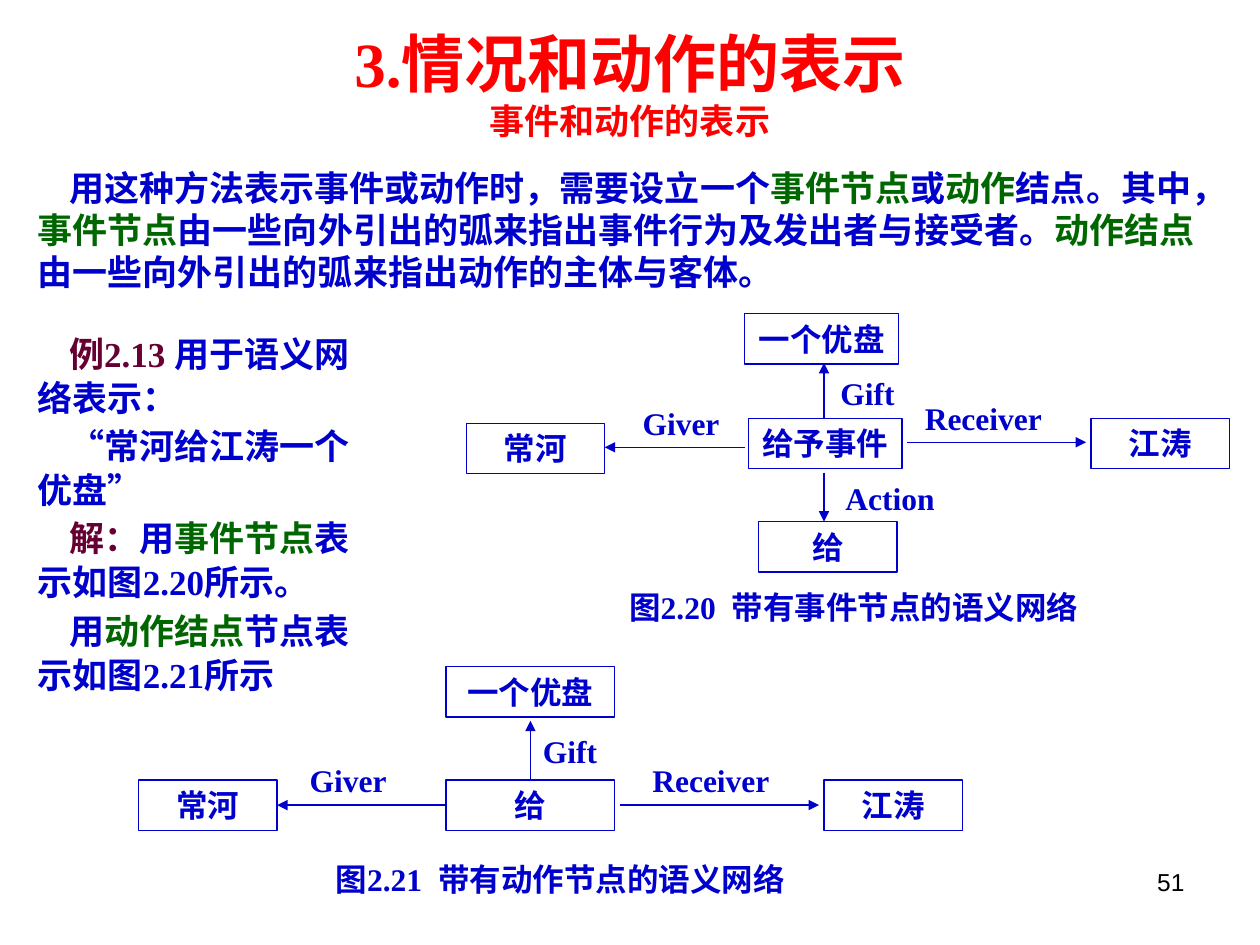
from dataclasses import dataclass

from pptx import Presentation
from pptx.dml.color import RGBColor
from pptx.enum.lang import MSO_LANGUAGE_ID
from pptx.enum.shapes import MSO_CONNECTOR, MSO_SHAPE
from pptx.enum.text import MSO_ANCHOR, MSO_AUTO_SIZE, PP_ALIGN
from pptx.oxml.ns import qn
from pptx.util import Emu, Pt
from lxml.etree import SubElement

EMU_PER_PX = 9144  # 100 px to the inch


@dataclass(frozen=True)
class Theme:
    blue: str = "0000CC"
    green: str = "006600"
    maroon: str = "660033"
    red: str = "FF0000"
    black: str = "000000"
    font: str = "Times New Roman"
    number_font: str = "Arial"
    title_size: int = 36
    body_size: int = 20
    label_size: int = 18
    number_size: int = 14
    line_width: float = 0.75


THEME = Theme()


def px(length):
    return Emu(length * EMU_PER_PX)


def add_span(para, text, size, color=THEME.blue, font=THEME.font, bold=True):
    span = para.add_run()
    span.text = text
    span.font.size = Pt(size)
    span.font.name = font
    span.font.bold = bold
    span.font.color.rgb = RGBColor.from_string(color)
    span.font.language_id = MSO_LANGUAGE_ID.SIMPLIFIED_CHINESE


def write(box, paragraphs, size=THEME.label_size, align=PP_ALIGN.LEFT, inset=(10, 5),
          anchor=MSO_ANCHOR.TOP, indent=0, line_spacing=None, gap=0, grow=True, **span_format):
    """Fill a box; each paragraph is a list of (text, format overrides), None being a line break."""
    frame = box.text_frame
    frame.word_wrap = True
    frame.auto_size = MSO_AUTO_SIZE.SHAPE_TO_FIT_TEXT if grow else MSO_AUTO_SIZE.NONE
    frame.vertical_anchor = anchor
    frame.margin_left = frame.margin_right = px(inset[0])
    frame.margin_top = frame.margin_bottom = px(inset[1])
    for index, spans in enumerate(paragraphs):
        para = frame.add_paragraph() if index else frame.paragraphs[0]
        para.alignment = align
        para.space_before = Pt(gap if index else 0)
        para.space_after = Pt(gap)
        if line_spacing:
            para.line_spacing = line_spacing
        if indent:
            para._p.get_or_add_pPr().set("indent", str(px(indent)))
        for text, overrides in spans:
            if text is None:
                para.add_line_break()
            else:
                add_span(para, text, **{"size": size, **span_format, **overrides})


class SlideBuilder:
    """Draws themed elements on the current page."""

    def __init__(self, page, theme):
        self.page = page
        self.theme = theme

    def text(self, place, paragraphs, **text_format):
        if isinstance(paragraphs, str):
            paragraphs = [[(paragraphs, {})]]
        box = self.page.shapes.add_textbox(*map(px, place))
        write(box, paragraphs, **text_format)

    def node(self, place, name):
        box = self.page.shapes.add_shape(MSO_SHAPE.RECTANGLE, *map(px, place))
        box.shadow.inherit = False
        box.fill.background()
        box.line.color.rgb = RGBColor.from_string(self.theme.blue)
        box.line.width = Pt(self.theme.line_width)
        write(box, [[(name, {})]], align=PP_ALIGN.CENTER, inset=(2, 5))

    def arrow(self, start, end):
        arrow = self.page.shapes.add_connector(MSO_CONNECTOR.STRAIGHT, *map(px, start + end))
        arrow.line.color.rgb = RGBColor.from_string(self.theme.blue)
        arrow.line.width = Pt(self.theme.line_width)
        properties = arrow._element.spPr
        SubElement(properties.find(qn("a:ln")), qn("a:tailEnd"), type="triangle")
        SubElement(properties, qn("a:effectLst"))

    def caption(self, left, top, text):
        self.text((left, top, 449, 40), text, align=PP_ALIGN.CENTER, inset=(2, 5))

    def network(self, nodes, arrows, labels):
        for start, end in arrows:
            self.arrow(start, end)
        for name, left, top, width in nodes:
            self.node((left, top, width, 40), name)
        for name, place, inset in labels:
            self.text(place, name, inset=inset)


def main():
    deck = Presentation()
    deck.slide_width, deck.slide_height = px(1000), px(750)
    page = deck.slides.add_slide(deck.slide_layouts[6])
    builder = SlideBuilder(page, THEME)
    green, maroon = {"color": THEME.green}, {"color": THEME.maroon}

    builder.text((50, 21, 900, 90),
                 [[("3.情况和动作的表示", {}), (None, {}),
                   ("事件和动作的表示", {"size": THEME.body_size})]],
                 size=THEME.title_size, color=THEME.red, align=PP_ALIGN.CENTER,
                 anchor=MSO_ANCHOR.MIDDLE, grow=False)

    builder.text((20, 127, 957, 110), [[
        ("用这种方法表示事件或动作时，需要设立一个", {}), ("事件节点", green),
        ("或", {}), ("动作", green), ("结点。其中，", {}), ("事件节点", green),
        ("由一些向外引出的弧来指出事件行为及发出者与接受者。", {}),
        ("动作结点", green), ("由一些向外引出的弧来指出动作的主体与客体。", {}),
    ]], size=THEME.body_size, indent=25)

    builder.text((20, 257, 284, 301), [
        [("例2.13 ", maroon), ("用于语义网络表示：", {})],
        [("“常河给江涛一个优盘”", {})],
        [("解：", maroon), ("用", {}), ("事件节点", green), ("表示如图2.20所示。", {})],
        [("用", {}), ("动作结点", green), ("节点表示如图2.21所示", {})],
    ], size=THEME.body_size, indent=25, line_spacing=1.05, gap=1.2)

    builder.network(
        nodes=[("给予事件", 594, 332, 122), ("一个优盘", 591, 249, 122),
               ("常河", 370, 336, 110), ("江涛", 866, 332, 110), ("给", 602, 414, 110)],
        arrows=[((654, 332), (654, 288)), ((591, 355), (480, 355)),
                ((720, 351), (862, 351)), ((654, 375), (654, 414))],
        labels=[("Gift", (665, 296, 55, 32), (2, 1)), ("Receiver", (728, 316, 118, 32), (6, 1)),
                ("Giver", (504, 320, 79, 32), (6, 1)), ("Action", (665, 379, 102, 32), (6, 1))])
    builder.caption(453, 462, "图2.20  带有事件节点的语义网络")

    builder.network(
        nodes=[("给", 354, 619, 134), ("一个优盘", 354, 529, 134),
               ("常河", 110, 619, 110), ("江涛", 654, 619, 110)],
        arrows=[((421, 619), (421, 572)), ((354, 639), (220, 639)), ((492, 639), (650, 639))],
        labels=[("Gift", (425, 580, 67, 32), (6, 1)), ("Receiver", (508, 599, 126, 40), (10, 5)),
                ("Giver", (236, 599, 94, 40), (10, 5))])
    builder.caption(220, 678, "图2.21  带有动作节点的语义网络")

    builder.text((717, 683, 233, 52), "51", size=THEME.number_size, color=THEME.black,
                 font=THEME.number_font, bold=False, align=PP_ALIGN.RIGHT, grow=False)

    deck.save("out.pptx")


if __name__ == "__main__":
    main()
